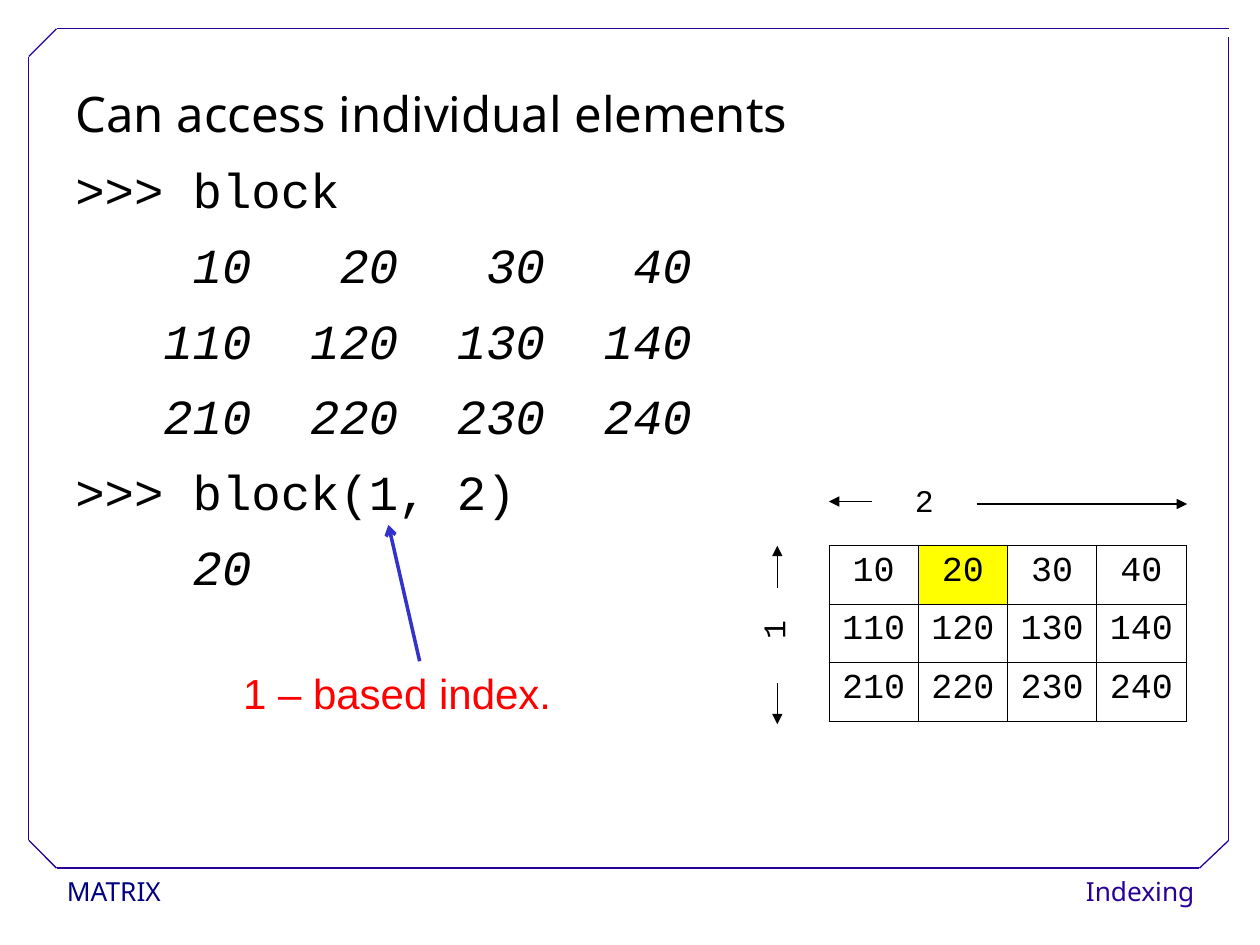
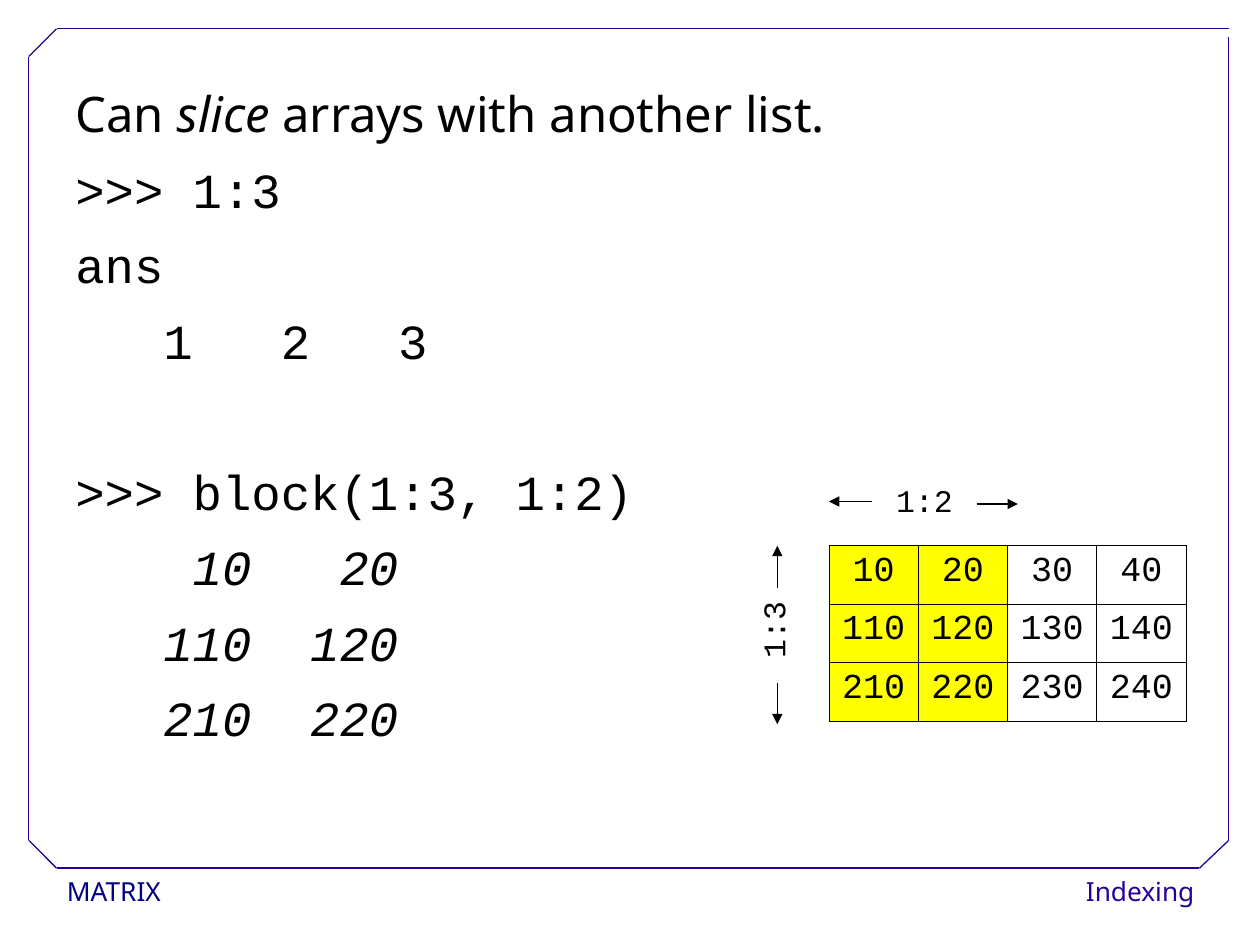
from itertools import pairwise

from pptx import Presentation, util as u
from pptx.dml.color import RGBColor
from pptx.enum import shapes, text
from pptx.oxml.ns import qn
from lxml import etree

Cm, Pt = u.Cm, u.Pt
SANS, MONO = "Noto Sans", "Courier New"
BLACK, WHITE, YELLOW, RED = "000000", "FFFFFF", "FFFF00", "FF0000"
NAVY, INDIGO, BLUE = "000080", "280099", "3333CC"
LEFT, MID, RIGHT = text.PP_ALIGN.LEFT, text.PP_ALIGN.CENTER, text.PP_ALIGN.RIGHT

BLOCK = [[row + col for col in (10, 20, 30, 40)] for row in (0, 100, 200)]
FRAME = [(24.77, 0.58), (1.14, 0.58), (0.58, 1.14), (0.58, 16.94),
         (1.14, 17.5), (24.18, 17.5), (24.77, 16.94), (24.77, 0.74)]


def rgb(code):
    return RGBColor.from_string(code)


def write(frame, words, size=18, font=MONO, color=BLACK, italic=False,
          align=LEFT, pitch=None, before=0, after=0):
    """Fill the first paragraph or add one; *stars* mark italic words."""
    para = frame.paragraphs[0]
    if para.runs:
        para = frame.add_paragraph()
    para.alignment, para.line_spacing = align, pitch
    para.space_before, para.space_after = Pt(before), Pt(after)
    for i, part in enumerate(words.split("*")):
        run = para.add_run()
        run.text = part
        run.font.size, run.font.name = Pt(size), font
        run.font.italic = italic or i % 2 == 1
        run.font.color.rgb = rgb(color)


class Deck:
    def __init__(self):
        self.prs = Presentation()
        self.prs.slide_width, self.prs.slide_height = Cm(25.4), Cm(19.05)
        self.slide = None

    def page(self):
        """Start a slide with the footers and the cut-corner frame."""
        self.slide = self.prs.slides.add_slide(self.prs.slide_layouts[6])
        self.foot("MATRIX", 1.12, 4.95, NAVY, LEFT)
        self.foot("Indexing", 21.08, 3.23, INDIGO, RIGHT)
        for start, end in pairwise(FRAME):
            self.line(start, end, INDIGO)

    def foot(self, words, x, wide, color, align):
        box = self.slide.shapes.add_shape(
            shapes.MSO_SHAPE.RECTANGLE, Cm(x), Cm(17.53), Cm(wide), Cm(0.94))
        box.shadow.inherit = False
        box.fill.solid()
        box.fill.fore_color.rgb = rgb(WHITE)
        box.line.fill.background()
        frame = box.text_frame
        frame.margin_left = frame.margin_right = Cm(0.23)
        frame.margin_top = frame.margin_bottom = Cm(0.1)
        frame.vertical_anchor = text.MSO_ANCHOR.TOP
        write(frame, words, size=15, font=SANS, color=color, align=align,
              pitch=1.02)

    def line(self, start, end, color=BLACK, width=0.75, head=None):
        link = self.slide.shapes.add_connector(
            shapes.MSO_CONNECTOR.STRAIGHT, *map(Cm, start + end))
        link.line.color.rgb = rgb(color)
        link.line.width = Pt(width)
        if head:
            etree.SubElement(link.line._get_or_add_ln(), qn("a:tailEnd"),
                             type=head)
        etree.SubElement(link._element.spPr, qn("a:effectLst"))
        return link

    def box(self, x, y, wide, high, turn=0):
        box = self.slide.shapes.add_textbox(Cm(x), Cm(y), Cm(wide), Cm(high))
        box.rotation = turn
        box.text_frame.word_wrap = True
        return box

    def body(self, title, lines):
        """Write the title, then code lines given as (words, format)."""
        frame = self.box(1.27, 1.7, 22.86, 15.44).text_frame
        style = dict(size=28, pitch=0.9, after=12.9)
        write(frame, title, font=SANS, **style)
        for words, form in lines:
            write(frame, words, **style, **form)

    def grid(self, lit):
        """Draw the block as a table; lit(row, col) picks yellow cells."""
        rows, cols = len(BLOCK), len(BLOCK[0])
        wide, high = Cm(1.8), Cm(1.18)
        table = self.slide.shapes.add_table(
            rows, cols, Cm(16.71), Cm(11), wide * cols, high * rows).table
        table.first_row = table.horz_banding = False
        for col in table.columns:
            col.width = wide
        for r, row in enumerate(BLOCK):
            table.rows[r].height = high
            for c, value in enumerate(row):
                cell = table.cell(r, c)
                write(cell.text_frame, str(value), size=20, align=MID,
                      pitch=0.93)
                self.edge(cell)
                cell.fill.solid()
                cell.fill.fore_color.rgb = rgb(YELLOW if lit(r, c) else WHITE)

    def edge(self, cell):
        """Give a cell thin black borders; call before its fill is set."""
        props = cell._tc.get_or_add_tcPr()
        for side in ("lnL", "lnR", "lnT", "lnB"):
            line = etree.SubElement(props, qn("a:" + side), w=str(Pt(0.45)))
            fill = etree.SubElement(line, qn("a:solidFill"))
            etree.SubElement(fill, qn("a:srgbClr"), val=BLACK)

    def index(self, rows, cols, end):
        """Label both axes of the grid; the column arrow stops at end."""
        across = self.box(17.58, 9.58, 2.11, 1.02)
        write(across.text_frame, cols, align=MID)
        down = self.box(14.76, 12.19, 1.65, 1.02, turn=270)
        write(down.text_frame, rows, align=MID)
        for start, tip in (((19.69, 10.16), (end, 10.16)),
                           ((17.58, 10.11), (16.71, 10.11)),
                           ((15.67, 11.86), (15.67, 11)),
                           ((15.67, 13.77), (15.67, 14.6))):
            self.line(start, tip, head="triangle")

    def note(self, words, tip):
        box = self.box(4.65, 13.33, 7.62, 1.27)
        write(box.text_frame, words, size=24, font="Arial", color=RED)
        link = self.line((8.46, 13.33), tip, BLUE, 2, "arrow")
        link.begin_connect(box, 0)


def main():
    deck = Deck()
    code, out = {}, {"italic": True}

    deck.page()
    deck.body("Can access individual elements", [
        (">>> block", code),
        ("    10   20   30   40", out),
        ("   110  120  130  140", out),
        ("   210  220  230  240", out),
        (">>> block(1, 2)", code),
        ("    20", out)])
    deck.grid(lambda r, c: (r, c) == (0, 1))
    deck.index("1", "2", 23.93)
    deck.note("1 – based index.", (7.83, 10.58))

    deck.page()
    deck.body("Can *slice* arrays with another list.", [
        (">>> 1:3", code),
        ("ans", code),
        ("   1   2   3", code),
        (">>> block(1:3, 1:2)", {"before": 43}),
        ("    10   20", out),
        ("   110  120", out),
        ("   210  220", out)])
    deck.grid(lambda r, c: c < 2)
    deck.index("1:3", "1:2", 20.52)

    deck.prs.save("out.pptx")


if __name__ == "__main__":
    main()
